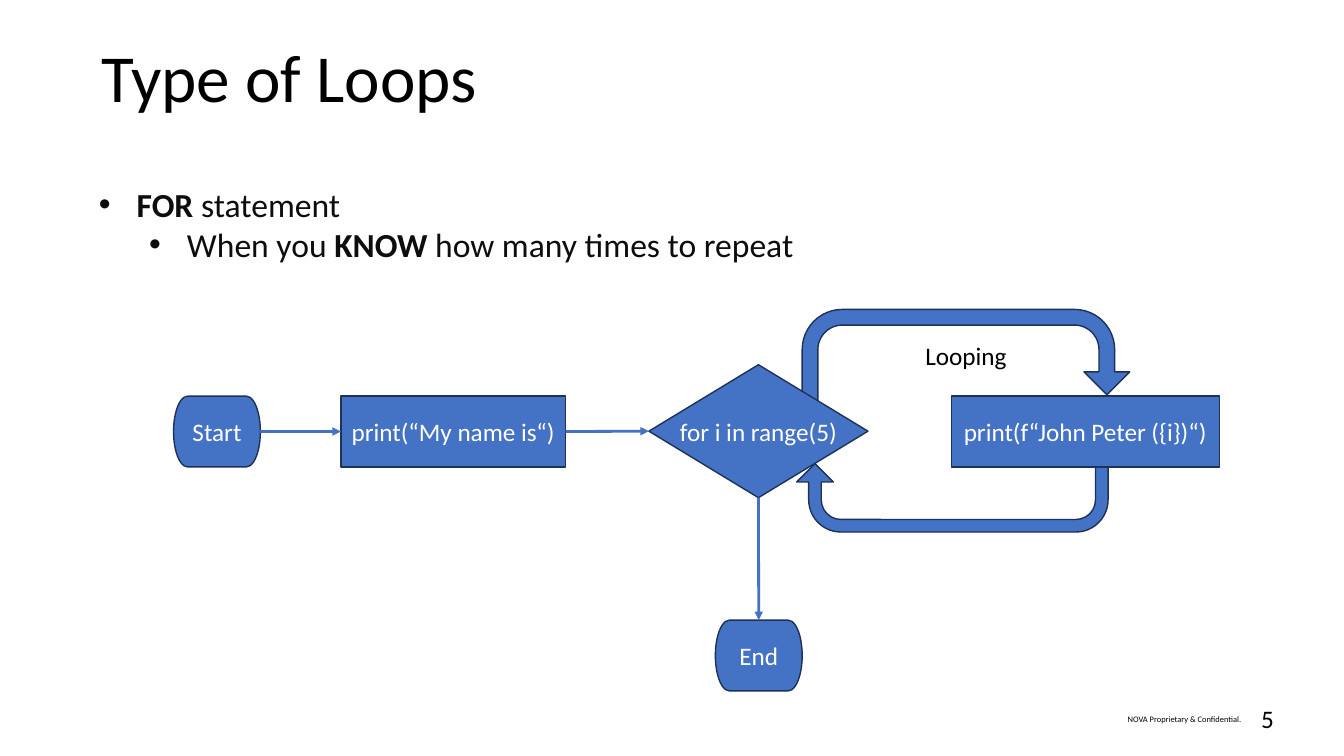
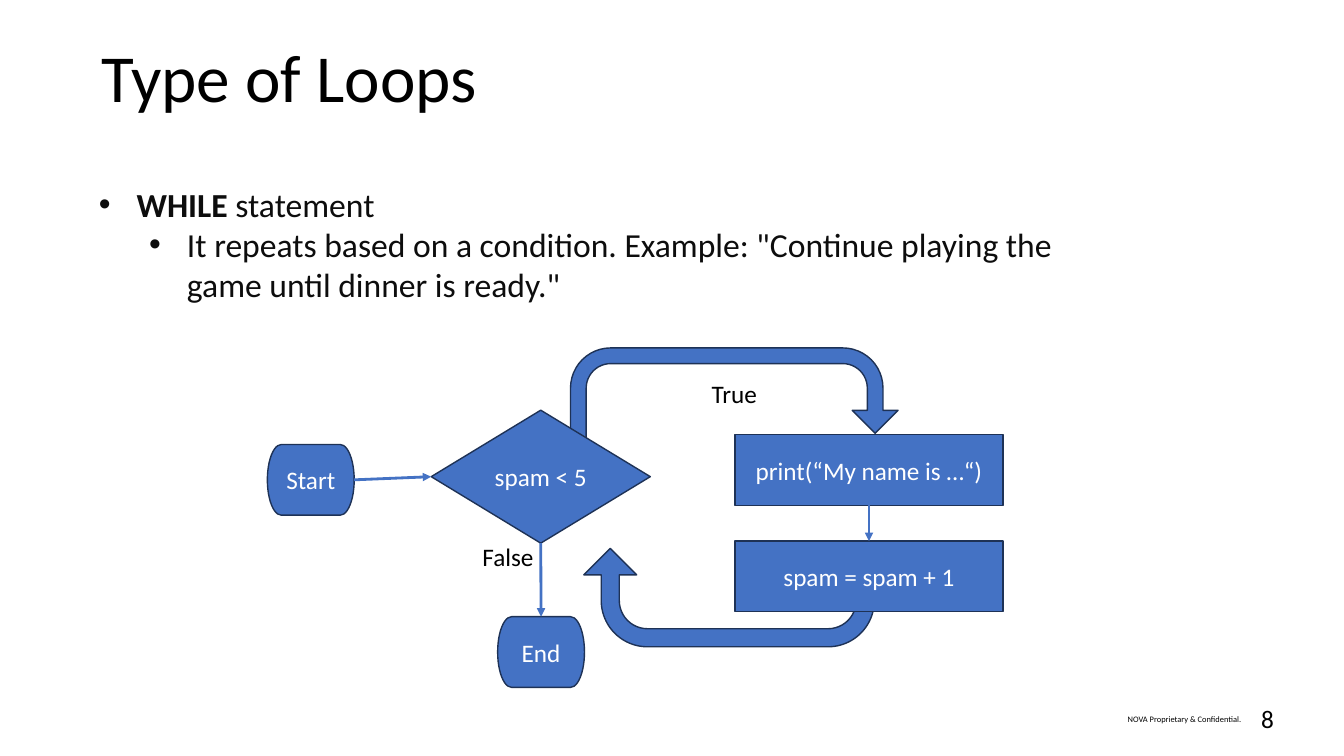
"""Build two slides on loop types, each with a flow chart."""
from dataclasses import dataclass
from typing import Any, NamedTuple

from lxml.etree import SubElement as Sub
from pptx import Presentation
from pptx.dml.color import RGBColor as RGB
from pptx.enum.shapes import MSO_CONNECTOR as Conn, MSO_SHAPE as Kind
from pptx.enum.text import MSO_ANCHOR as Anchor, MSO_AUTO_SIZE as Auto, PP_ALIGN as Align
from pptx.oxml.ns import qn
from pptx.util import Pt

BLUE = RGB(0x44, 0x72, 0xC4)
NAVY = RGB(0x1E, 0x32, 0x56)
WHITE = RGB(0xFF, 0xFF, 0xFF)
BLACK = RGB(0x00, 0x00, 0x00)
INK = RGB(0x0D, 0x0D, 0x0D)
FONT = "Calibri"
TITLE = "Type of Loops"
NOTICE = "NOVA Proprietary & Confidential."
FLUSH = dict.fromkeys(("margin_left", "margin_top", "margin_right", "margin_bottom"), 0)
TOP, LEFT, BOTTOM, RIGHT = range(4)
BEND = (0.171, 0.25, 0.25, 0.438, 0.931)
HIGH = 50.5


class Box(NamedTuple):
    """Left, top, width and height in points."""
    x: float
    y: float
    w: float
    h: float

    def size(self) -> list[Pt]:
        """Return the four lengths."""
        return [Pt(v) for v in self]


class Span(NamedTuple):
    """Words of one style."""
    text: str
    bold: bool = False


@dataclass(frozen=True)
class Node:
    """A step of the flow chart."""
    text: str
    kind: Kind
    box: Box


class Link(NamedTuple):
    """An arrow from a side of one step to a side of the next."""
    start: str
    out: int
    end: str
    into: int


@dataclass(frozen=True)
class Page:
    """All that one slide shows."""
    number: int
    points: list[list[Span]]
    depth: float
    back: Box
    loop: Box
    word: str
    nodes: dict[str, Node]
    links: list[Link]
    note: tuple[str, Box] | None = None


def apply(target: Any, values: dict[str, Any]) -> None:
    """Set each named value on the target."""
    for name, value in values.items():
        setattr(target, name, value)


def style(font: Any, size: float, color: RGB, bold: bool = False) -> None:
    """Set the face, size, weight and colour of a font."""
    apply(font, {"name": FONT, "size": Pt(size), "bold": bold})
    font.color.rgb = color


def write(shape: Any, text: str, size: float, color: RGB, align: Align, **frame: Any) -> None:
    """Put one line of text in a shape."""
    apply(shape.text_frame, {"word_wrap": False, "vertical_anchor": Anchor.MIDDLE} | frame)
    para = shape.text_frame.paragraphs[0]
    para.alignment = align
    run = para.add_run()
    run.text = text
    style(run.font, size, color)


def label(slide: Any, box: Box, text: str, size: float, align: Align, **frame: Any) -> None:
    """Add a black line of text."""
    write(slide.shapes.add_textbox(*box.size()), text, size, BLACK, align, **frame)


def outline(slide: Any, points: list[list[Span]], depth: float) -> None:
    """Add the bullets, each one level below the last."""
    frame = slide.shapes.add_textbox(*Box(63.5, 127.5, 741.5, depth).size()).text_frame
    frame.word_wrap = True
    for level, spans in enumerate(points):
        para = frame.add_paragraph() if level else frame.paragraphs[0]
        para.level = level
        props = para._p.get_or_add_pPr()
        props.set("marL", str(Pt(27 + 36 * level)))
        props.set("indent", str(Pt(-27)))
        Sub(props, qn("a:buFont"), typeface="Arial")
        Sub(props, qn("a:buChar"), char="•")
        style(para.font, 24, INK)
        for span in spans:
            run = para.add_run()
            run.text = span.text
            style(run.font, 24, INK, span.bold)


def block(slide: Any, kind: Kind, box: Box) -> Any:
    """Add a blue shape with a navy edge."""
    shape = slide.shapes.add_shape(kind, *box.size())
    shape.shadow.inherit = False
    shape.fill.solid()
    shape.fill.fore_color.rgb = BLUE
    shape.line.color.rgb = NAVY
    shape.line.width = Pt(1)
    return shape


def bend(slide: Any, box: Box, turn: float = 0) -> Any:
    """Add a U-turn arrow."""
    shape = block(slide, Kind.U_TURN_ARROW, box)
    for i, value in enumerate(BEND):
        shape.adjustments[i] = value
    shape.rotation = turn
    return shape


def join(slide: Any, shapes: dict[str, Any], link: Link) -> None:
    """Draw an arrow between two steps."""
    line = slide.shapes.add_connector(Conn.STRAIGHT, 0, 0, 0, 0)
    line.begin_connect(shapes[link.start], link.out)
    line.end_connect(shapes[link.end], link.into)
    line.line.color.rgb = BLUE
    line.line.width = Pt(2)
    props = line._element.spPr
    Sub(props.find(qn("a:ln")), qn("a:tailEnd"), type="triangle")
    Sub(props, qn("a:effectLst"))


def head(slide: Any) -> None:
    """Place and fill the title."""
    title = slide.shapes.title
    places = ("left", "top", "width", "height")
    apply(title, dict(zip(places, Box(72.5, 25, 577.5, 50.5).size())))
    write(title, TITLE, 48, BLACK, Align.LEFT, word_wrap=True,
          vertical_anchor=Anchor.TOP, auto_size=Auto.NONE, **FLUSH)


def foot(slide: Any, number: int) -> None:
    """Add the notice and the slide number."""
    label(slide, Box(751, 505, 135.5, 17), NOTICE, 6, Align.RIGHT, word_wrap=True, **FLUSH)
    label(slide, Box(890.5, 505, 19.5, 17), str(number), 18, Align.RIGHT, word_wrap=True, **FLUSH)


def draw(deck: Any, page: Page) -> None:
    """Draw one slide."""
    slide = deck.slides.add_slide(deck.slide_layouts[5])
    foot(slide, page.number)
    outline(slide, page.points, page.depth)
    head(slide)
    bend(slide, page.back, 180)
    write(bend(slide, page.loop), page.word, 18, BLACK, Align.CENTER)
    shapes = {}
    for name, node in page.nodes.items():
        shapes[name] = block(slide, node.kind, node.box)
        write(shapes[name], node.text, 18, WHITE, Align.CENTER)
    for link in page.links:
        join(slide, shapes, link)
    if page.note:
        text, box = page.note
        label(slide, box, text, 18, Align.LEFT, vertical_anchor=Anchor.TOP)


def cap(text: str, x: float, y: float) -> Node:
    """Return a start or end step."""
    return Node(text, Kind.FLOWCHART_TERMINATOR, Box(x, y, 62, HIGH))


def step(text: str, x: float, y: float, w: float = 191.5) -> Node:
    """Return a code step."""
    return Node(text, Kind.RECTANGLE, Box(x, y, w, HIGH))


def test(text: str, x: float, y: float) -> Node:
    """Return a branch step."""
    return Node(text, Kind.FLOWCHART_DECISION, Box(x, y, 156.5, 95))


PAGES = [
    Page(
        number=5,
        points=[
            [Span("FOR", True), Span(" statement")],
            [Span("When you "), Span("KNOW", True), Span(" how many times to repeat")],
        ],
        depth=65.5,
        back=Box(569, 327.5, 222.5, 52.5),
        loop=Box(573, 221, 234, 65.5),
        word="Looping",
        nodes={
            "start": cap("Start", 124, 283),
            "intro": step("print(“My name is“)", 243.5, 283, 160.5),
            "test": test("for i in range(5)", 463.5, 260.5),
            "print": step("print(f“John Peter ({i})“)", 679.5, 283),
            "end": cap("End", 511, 443),
        },
        links=[
            Link("start", RIGHT, "intro", LEFT),
            Link("intro", RIGHT, "test", LEFT),
            Link("test", BOTTOM, "end", TOP),
        ],
    ),
    Page(
        number=8,
        points=[
            [Span("WHILE", True), Span(" statement")],
            [Span('It repeats based on a condition. Example: "Continue playing the '
                  'game until dinner is ready."')],
        ],
        depth=94.5,
        back=Box(417, 386.5, 207.5, 75.5),
        loop=Box(407.5, 248.5, 234, 65.5),
        word="True",
        nodes={
            "start": cap("Start", 191, 317.5),
            "test": test("spam < 5", 308, 293),
            "print": step("print(“My name is …“)", 525, 310.5),
            "end": cap("End", 355.5, 440.5),
            "add": step("spam = spam + 1", 525, 386.5),
        },
        links=[
            Link("start", RIGHT, "test", LEFT),
            Link("test", BOTTOM, "end", TOP),
            Link("print", BOTTOM, "add", TOP),
        ],
        note=("False", Box(337.5, 383, 51, 29)),
    ),
]


def main() -> None:
    """Build and save the deck."""
    deck = Presentation()
    deck.slide_width, deck.slide_height = Pt(960), Pt(540)
    for page in PAGES:
        draw(deck, page)
    deck.save("out.pptx")


if __name__ == "__main__":
    main()
